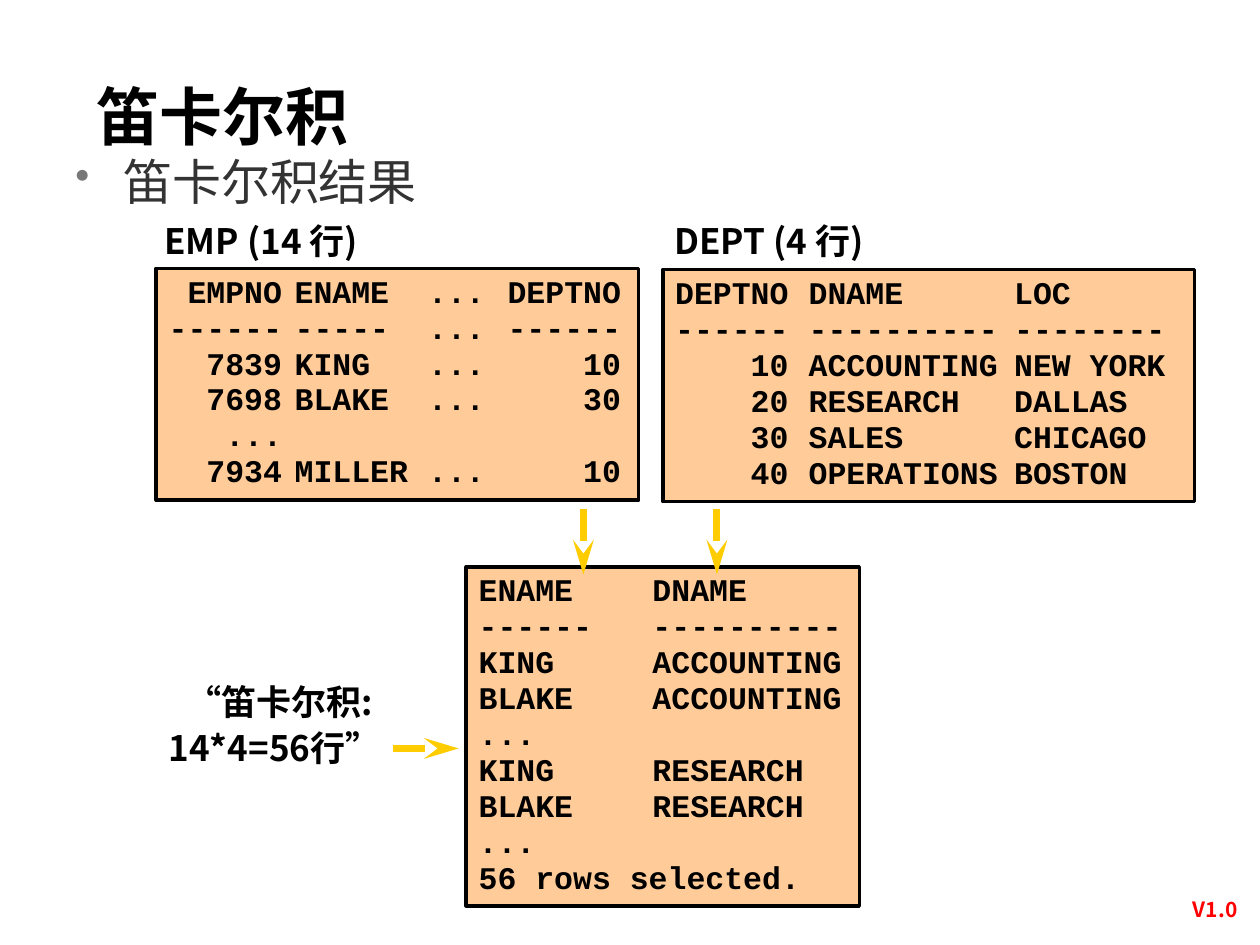
from dataclasses import dataclass

import pptx
import pptx.dml.color
import pptx.enum.shapes
import pptx.enum.text
import pptx.oxml
import pptx.oxml.ns
import pptx.util
from lxml import etree

ALIGN = pptx.enum.text.PP_ALIGN
ANCHOR = pptx.enum.text.MSO_ANCHOR


@dataclass(frozen=True)
class Theme:
    sans: str = "Noto Sans CJK SC"
    mono: str = "Courier New"
    ink: str = "000000"
    body: str = "333333"
    bullet: str = "777777"
    panel: str = "FFCC99"
    arrow: str = "FFCC00"
    version: str = "FF0000"
    title_size: int = 36
    body_size: int = 28
    label_size: int = 20
    mono_size: int = 18
    version_size: int = 12
    border: int = 2
    arrow_width: int = 4


@dataclass(frozen=True)
class Area:
    col: float
    row: float
    cols: float
    rows: float


@dataclass(frozen=True)
class Caption:
    text: str
    area: Area
    size: int
    color: str
    bold: bool = True
    align: ALIGN = ALIGN.LEFT
    anchor: ANCHOR = ANCHOR.TOP
    wrap: bool = True
    spacing: float = 1.0


@dataclass(frozen=True)
class Listing:
    lines: tuple[str, ...]
    area: Area
    tab_cols: tuple[float, ...]


@dataclass(frozen=True)
class Arrow:
    start: tuple[float, float]
    end: tuple[float, float]


THEME = Theme()
COLUMNS, ROWS = 100, 75
deck = pptx.Presentation()
deck.slide_width = pptx.util.Inches(10)
deck.slide_height = pptx.util.Inches(7.5)
slide = deck.slides.add_slide(deck.slide_layouts[6])


def across(cols: float) -> int:
    return round(deck.slide_width * cols / COLUMNS)


def down(rows: float) -> int:
    return round(deck.slide_height * rows / ROWS)


def bounds(area: Area) -> tuple[int, int, int, int]:
    return across(area.col), down(area.row), across(area.cols), down(area.rows)


def rgb(value: str) -> pptx.dml.color.RGBColor:
    return pptx.dml.color.RGBColor.from_string(value)


def child(parent, tag: str, **attributes: str):
    return etree.SubElement(parent, pptx.oxml.ns.qn(tag), **attributes)


def style_runs(paragraph, font: str, size: int, color: str, bold: bool) -> None:
    for run in paragraph.runs:
        run.font.name = font
        run.font.size = pptx.util.Pt(size)
        run.font.bold = bold
        run.font.color.rgb = rgb(color)
        child(run.font._element, "a:ea", typeface=font)


def draw_caption(caption: Caption):
    frame = slide.shapes.add_textbox(*bounds(caption.area)).text_frame
    frame.word_wrap = caption.wrap
    frame.vertical_anchor = caption.anchor
    frame.text = caption.text
    for paragraph in frame.paragraphs:
        paragraph.alignment = caption.align
        paragraph.line_spacing = caption.spacing
        style_runs(paragraph, THEME.sans, caption.size, caption.color, caption.bold)
    return frame


def add_bullet(paragraph, indent_cols: float) -> None:
    properties = paragraph._p.get_or_add_pPr()
    properties.set("marL", str(across(indent_cols)))
    properties.set("indent", str(-across(indent_cols)))
    child(child(properties, "a:buClr"), "a:srgbClr", val=THEME.bullet)
    child(properties, "a:buSzPct", val="85000")
    child(properties, "a:buChar", char="•")


def draw_listing(listing: Listing) -> None:
    panel = slide.shapes.add_shape(
        pptx.enum.shapes.MSO_SHAPE.RECTANGLE, *bounds(listing.area))
    panel.shadow.inherit = False
    panel.fill.solid()
    panel.fill.fore_color.rgb = rgb(THEME.panel)
    panel.line.color.rgb = rgb(THEME.ink)
    panel.line.width = pptx.util.Pt(THEME.border)
    frame = panel.text_frame
    frame.word_wrap = True
    frame.vertical_anchor = ANCHOR.TOP
    frame.text = "\n".join(listing.lines)
    for paragraph in frame.paragraphs:
        paragraph.alignment = ALIGN.LEFT
        paragraph.line_spacing = 0.95
        stops = child(paragraph._p.get_or_add_pPr(), "a:tabLst")
        for col in listing.tab_cols:
            child(stops, "a:tab", pos=str(across(col)), algn="l")
        style_runs(paragraph, THEME.mono, THEME.mono_size, THEME.ink, True)


def draw_arrow(arrow: Arrow) -> None:
    (start_col, start_row), (end_col, end_row) = arrow.start, arrow.end
    connector = slide.shapes.add_connector(
        pptx.enum.shapes.MSO_CONNECTOR.STRAIGHT,
        across(start_col), down(start_row), across(end_col), down(end_row))
    connector.line.color.rgb = rgb(THEME.arrow)
    connector.line.width = pptx.util.Pt(THEME.arrow_width)
    child(connector.line._get_or_add_ln(), "a:tailEnd", type="stealth", w="med", len="lg")
    child(connector._element.spPr, "a:effectLst")


version = Caption("V1.0", Area(92.5, 70.7, 7.9, 3), THEME.version_size,
                  THEME.version, align=ALIGN.CENTER)
topic = Caption("笛卡尔积结果", Area(5, 11.5, 89.1, 5.7), THEME.body_size,
                THEME.body, bold=False)
title = Caption("笛卡尔积", Area(6.7, 5, 85, 8.3), THEME.title_size,
                THEME.ink, anchor=ANCHOR.MIDDLE)
table_labels = [
    Caption(text, Area(col, 16.9, 19.1, 4.4), THEME.label_size, THEME.ink,
            align=ALIGN.CENTER, wrap=False)
    for text, col in (("EMP (14 行) ", 11.5), ("DEPT (4 行) ", 51.8))
]
product_note = Caption("“笛卡尔积: \v14*4=56行”", Area(7.8, 53.2, 23.4, 8.4),
                       THEME.label_size, THEME.ink, align=ALIGN.RIGHT, spacing=1.1)

result = Listing((
    "ENAME\tDNAME",
    "------\t----------",
    "KING\tACCOUNTING",
    "BLAKE\tACCOUNTING",
    "...",
    "KING\tRESEARCH",
    "BLAKE\tRESEARCH",
    "...",
    "56 rows selected.",
), Area(37, 45, 31.2, 26.9), (13.8,))
employees = Listing((
    " EMPNO\tENAME\t...\tDEPTNO",
    "------\t-----\t...\t------",
    "  7839\tKING\t...\t    10",
    "  7698\tBLAKE\t...\t    30",
    "   ...",
    "  7934\tMILLER\t...\t    10",
), Area(12.4, 21.3, 38.3, 18.4), (10, 20.6, 26.9))
departments = Listing((
    "DEPTNO\tDNAME\tLOC",
    "------\t----------\t--------",
    "    10\tACCOUNTING\tNEW YORK",
    "    20\tRESEARCH\tDALLAS",
    "    30\tSALES\tCHICAGO",
    "    40\tOPERATIONS\tBOSTON",
), Area(52.6, 21.4, 42.2, 18.4), (10.6, 26.9))

arrows = [Arrow((col, 40.4), (col, 45.6)) for col in (46.3, 56.9)]
arrows.append(Arrow((31.2, 59.4), (36.4, 59.4)))

draw_caption(version)
add_bullet(draw_caption(topic).paragraphs[0], 3.8)
for caption in (title, *table_labels, product_note):
    draw_caption(caption)
for listing in (result, employees, departments):
    draw_listing(listing)
for arrow in arrows:
    draw_arrow(arrow)

deck.save("out.pptx")
